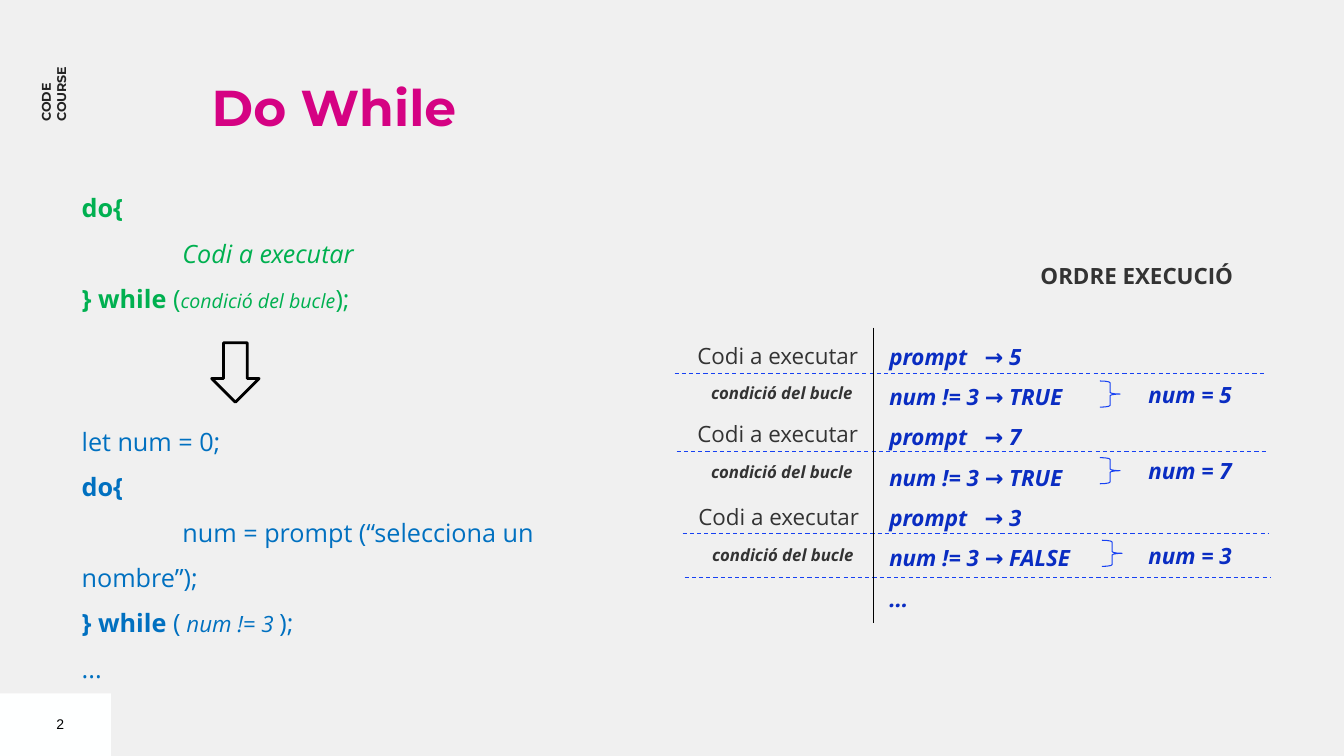
from dataclasses import dataclass
from typing import Optional

from lxml.etree import SubElement
from pptx import Presentation
from pptx.dml.color import RGBColor
from pptx.enum.dml import MSO_LINE_DASH_STYLE as DASH
from pptx.enum.shapes import MSO_CONNECTOR, MSO_SHAPE as SHAPE
from pptx.enum.text import MSO_ANCHOR as ANCHOR, PP_ALIGN as ALIGN
from pptx.oxml.ns import qn
from pptx.util import Inches, Pt

COLORS = {
    "background": "F0F0F0", "corner": "FEFFFF", "title": "D50283",
    "side": "222222", "black": "000000", "label": "333333",
    "syntax": "00B050", "example": "0070C0", "trace": "0A2DC2",
    "line": "1741F3",
}


@dataclass
class Style:
    size: float
    color: str
    bold: bool = False
    italic: bool = False
    name: str = "Open Sans"


@dataclass
class Span:
    text: str
    bold: bool = False
    italic: bool = False
    size: Optional[float] = None


@dataclass
class Step:
    """One pass of the loop in the execution table."""
    label_left: float
    label_top: float
    line_left: float
    line_right: float
    line_top: float
    brace_left: float
    brace_top: float
    value_top: float
    value: str


SYNTAX = Style(18, "syntax")
EXAMPLE = Style(18, "example")
TRACE = Style(16, "trace", bold=True, italic=True)
LABEL = Style(16, "label")
CONDITION = Style(12, "label", bold=True, italic=True)

SYNTAX_CODE = [
    [Span("do{", bold=True)],
    [Span("\tCodi a executar", italic=True)],
    [Span("} while", bold=True), Span(" ("),
     Span("condició del bucle", italic=True, size=14), Span(");")],
]
EXAMPLE_CODE = [
    [Span("let num = 0;")],
    [Span("do{", bold=True)],
    [Span("\tnum = prompt (“selecciona un nombre”);")],
    [Span("} while ", bold=True), Span("("),
     Span(" num != 3 ", italic=True, size=16), Span(");")],
    [Span("...")],
]
TRACE_LINES = [
    "prompt   → 5", "num != 3 → TRUE",
    "prompt   → 7", "num != 3 → TRUE",
    "prompt   → 3", "num != 3 → FALSE", "...",
]
STEPS = [
    Step(6.52, 3.39, 6.69, 12.55, 3.71, 10.91, 3.78, 3.78, "num = 5"),
    Step(6.52, 4.17, 6.71, 12.57, 4.48, 10.91, 4.54, 4.54, "num = 7"),
    Step(6.53, 4.99, 6.77, 12.58, 5.29, 10.93, 5.36, 5.38, "num = 3"),
]


def rgb(key: str) -> RGBColor:
    return RGBColor.from_string(COLORS[key])


def set_font(font, style: Style) -> None:
    font.name, font.size = style.name, Pt(style.size)
    font.bold, font.italic = style.bold, style.italic
    font.color.rgb = rgb(style.color)


def set_frame(tf, margins=(0, 0), wrap: bool = True) -> None:
    tf.word_wrap = wrap
    tf.vertical_anchor = ANCHOR.TOP
    tf.margin_left = tf.margin_right = Inches(margins[0])
    tf.margin_top = tf.margin_bottom = Inches(margins[1])


def add_box(slide, left, top, width, height, margins=(0, 0), wrap=True):
    sp = slide.shapes.add_textbox(*map(Inches, (left, top, width, height)))
    set_frame(sp.text_frame, margins, wrap)
    return sp


def add_text(slide, left, top, width, height, lines, style: Style,
             align=ALIGN.LEFT, spacing=None, margins=(0, 0), wrap=True):
    sp = add_box(slide, left, top, width, height, margins, wrap)
    tf = sp.text_frame
    tf.text = "\n".join(lines)
    for p in tf.paragraphs:
        p.alignment, p.line_spacing = align, spacing
        set_font(p.font, style)
    return sp


def add_code(slide, left, top, width, height, lines, style: Style) -> None:
    tf = add_box(slide, left, top, width, height).text_frame
    for i, spans in enumerate(lines):
        p = tf.paragraphs[0] if i == 0 else tf.add_paragraph()
        p.line_spacing = 1.5
        # One tab stop, an inch in
        tabs = SubElement(p._p.get_or_add_pPr(), qn("a:tabLst"))
        SubElement(tabs, qn("a:tab"), pos=str(Inches(1)), algn="l")
        for span in spans:
            r = p.add_run()
            r.text = span.text
            set_font(r.font, Style(span.size or style.size, style.color,
                                   span.bold, span.italic))


def add_shape(slide, kind, left, top, width, height,
              fill=None, line=None, weight=0.75) -> None:
    sp = slide.shapes.add_shape(kind, *map(Inches, (left, top, width, height)))
    sp.shadow.inherit = False
    if fill:
        sp.fill.solid()
        sp.fill.fore_color.rgb = rgb(fill)
    else:
        sp.fill.background()
    if line:
        sp.line.color.rgb = rgb(line)
        sp.line.width = Pt(weight)
    else:
        sp.line.fill.background()


def add_line(slide, x1, y1, x2, y2, color: str, dash=None) -> None:
    cn = slide.shapes.add_connector(MSO_CONNECTOR.STRAIGHT,
                                    *map(Inches, (x1, y1, x2, y2)))
    cn.line.color.rgb = rgb(color)
    cn.line.width = Pt(0.75)
    if dash:
        cn.line.dash_style = dash
    SubElement(cn._element.spPr, qn("a:effectLst"))


def add_step(slide, step: Step) -> None:
    add_text(slide, step.label_left, step.label_top, 1.99, 0.27,
             ["Codi a executar"], LABEL, ALIGN.RIGHT)
    add_line(slide, step.line_left, step.line_top,
             step.line_right, step.line_top, "line", DASH.DASH)
    add_text(slide, step.label_left + 0.13, step.label_top + 0.41, 1.85, 0.2,
             ["condició del bucle "], CONDITION, ALIGN.RIGHT)
    add_shape(slide, SHAPE.RIGHT_BRACE, step.brace_left, step.brace_top,
              0.2, 0.26, line="line")
    add_text(slide, 11.39, step.value_top, 0.98, 0.27, [step.value], TRACE)


def main() -> None:
    prs = Presentation()
    prs.slide_width, prs.slide_height = Inches(13.33), Inches(7.5)
    slide = prs.slides.add_slide(prs.slide_layouts[5])
    slide.background.fill.solid()
    slide.background.fill.fore_color.rgb = rgb("background")

    # Title
    title = slide.shapes.title
    title.left, title.top = Inches(2.1), Inches(0.87)
    title.width, title.height = Inches(7.12), Inches(0.55)
    set_frame(title.text_frame)
    title.text_frame.text = "Do While"
    p = title.text_frame.paragraphs[0]
    p.alignment, p.line_spacing = ALIGN.LEFT, 0.8
    set_font(p.font, Style(36, "title", bold=True, name="Montserrat"))

    # Side label and page number
    side = add_text(slide, -0.01, 0.67, 0.93, 0.25, ["CODE COURSE"],
                    Style(9, "side", bold=True, name="Montserrat"),
                    margins=(0.05, 0.05), wrap=False)
    side.rotation = 270
    add_shape(slide, SHAPE.RECTANGLE, 0, 6.88, 1.1, 0.62, fill="corner")
    add_text(slide, 0.46, 7.05, 0.29, 0.26, ["2"],
             Style(10, "black", name="Arial"), margins=(0.1, 0.05))

    # Syntax and example code
    add_code(slide, 0.81, 1.76, 5.88, 1.31, SYNTAX_CODE, SYNTAX)
    add_shape(slide, SHAPE.DOWN_ARROW, 2.1, 3.4, 0.47, 0.59,
              line="black", weight=2)
    add_code(slide, 0.81, 4.08, 4.88, 2.67, EXAMPLE_CODE, EXAMPLE)

    # Execution order
    add_text(slide, 10.24, 2.6, 1.99, 0.27, ["ORDRE EXECUCIÓ"],
             Style(16, "label", bold=True), ALIGN.RIGHT)
    add_text(slide, 8.82, 3.27, 3.33, 2.78, TRACE_LINES, TRACE, spacing=1.5)
    for step in STEPS:
        add_step(slide, step)
    add_line(slide, 6.79, 5.73, 12.6, 5.73, "line", DASH.DASH)
    add_line(slide, 8.66, 3.25, 8.66, 6.18, "black")

    prs.save("out.pptx")


if __name__ == "__main__":
    main()
